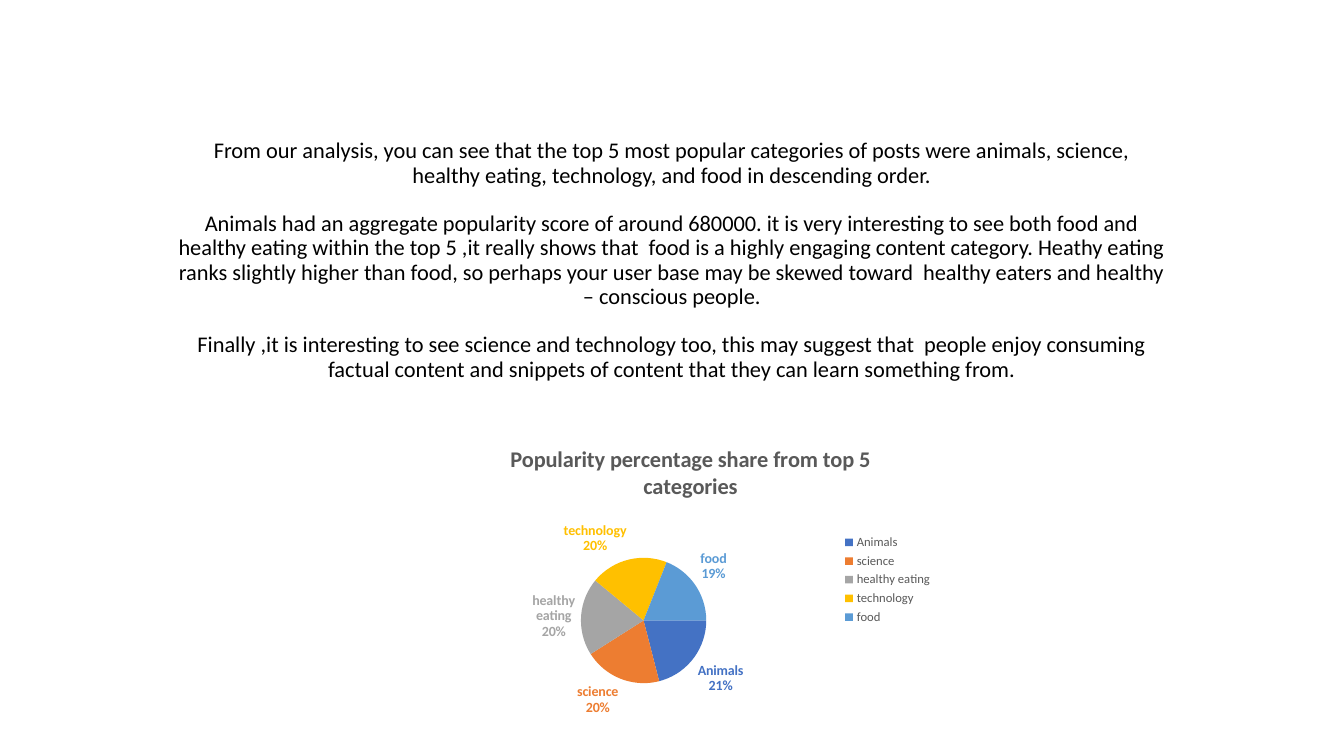
from lxml import etree
from pptx import Presentation
from pptx import util as u
from pptx.chart.data import CategoryChartData
from pptx.dml.color import RGBColor
from pptx.enum import chart as c
from pptx.enum import text as t
from pptx.oxml.ns import qn

BLACK = RGBColor(0x00, 0x00, 0x00)
GREY = RGBColor(0x59, 0x59, 0x59)
CATEGORIES = [
    ("Animals", 21, RGBColor(0x44, 0x72, 0xC4)),
    ("science", 20, RGBColor(0xED, 0x7D, 0x31)),
    ("healthy eating", 20, RGBColor(0xA5, 0xA5, 0xA5)),
    ("technology", 20, RGBColor(0xFF, 0xC0, 0x00)),
    ("food", 19, RGBColor(0x5B, 0x9B, 0xD5)),
]
FINDINGS = [
    "From our analysis, you can see that the top 5 most popular categories of posts were "
    "animals, science, healthy eating, technology, and food in descending order.",
    "Animals had an aggregate popularity score of around 680000. it is very interesting to see "
    "both food and healthy eating within the top 5 ,it really shows that  food is a highly "
    "engaging content category. Heathy eating ranks slightly higher than food, so perhaps your "
    "user base may be skewed toward  healthy eaters and healthy – conscious people.",
    "Finally ,it is interesting to see science and technology too, this may suggest that  people "
    "enjoy consuming factual content and snippets of content that they can learn something from.",
]


def set_font(font, size, color, bold=False):
    font.name = "Calibri"
    font.size = u.Pt(size)
    font.color.rgb = color
    font.bold = bold


presentation = Presentation()
presentation.slide_width, presentation.slide_height = u.Cm(33.87), u.Cm(19.05)
slide = presentation.slides.add_slide(presentation.slide_layouts[5])

# Findings
title = slide.shapes.title
title.left, title.top, title.width, title.height = u.Cm(4.23), u.Cm(3.12), u.Cm(25.4), u.Cm(6.63)
frame = title.text_frame
frame.word_wrap = True
frame.auto_size = t.MSO_AUTO_SIZE.NONE
frame.vertical_anchor = t.MSO_ANCHOR.BOTTOM
frame.text = "\n".join(FINDINGS)
for index, paragraph in enumerate(frame.paragraphs):
    paragraph.alignment = t.PP_ALIGN.CENTER
    paragraph.line_spacing = 0.9
    paragraph.space_before = u.Pt(17.5 if index else 0)
    set_font(paragraph.font, 16, BLACK)

# Popularity pie
data = CategoryChartData()
data.categories = [name for name, share, color in CATEGORIES]
data.add_series("Series 1", [share for name, share, color in CATEGORIES])
chart = slide.shapes.add_chart(
    c.XL_CHART_TYPE.PIE, u.Cm(11.05), u.Cm(10.8), u.Cm(12.7), u.Cm(7.62), data).chart
chart.font.name = "Arial"
chart.font.size = u.Pt(10)
chart.has_title = True
chart.chart_title.include_in_layout = False
chart.chart_title.text_frame.text = "Popularity percentage share from top 5 categories"
set_font(chart.chart_title.text_frame.paragraphs[0].font, 16, GREY, bold=True)
chart.has_legend = True
chart.legend.position = c.XL_LEGEND_POSITION.RIGHT
chart.legend.include_in_layout = False
set_font(chart.legend.font, 9, GREY)

# The first slice starts at three o'clock
plot = chart.plots[0]
plot.vary_by_categories = True
pie = chart.element.find(".//" + qn("c:pieChart"))
angle = pie.find(qn("c:firstSliceAng"))
if angle is None:
    angle = etree.SubElement(pie, qn("c:firstSliceAng"))
angle.set("val", "90")

# Slices and labels in matching colours
series = plot.series[0]
labels = series.data_labels
labels.show_value = False
labels.show_category_name = labels.show_percentage = True
labels.position = c.XL_LABEL_POSITION.OUTSIDE_END
set_font(labels.font, 10, CATEGORIES[0][2], bold=True)
for index, (name, share, color) in enumerate(CATEGORIES):
    point = series.points[index]
    point.format.fill.solid()
    point.format.fill.fore_color.rgb = color
    set_font(point.data_label.font, 10, color, bold=True)
    point.data_label.position = c.XL_LABEL_POSITION.OUTSIDE_END
for label in chart.element.iter(qn("c:dLbl")):
    for tag, shown in (("c:showVal", "0"), ("c:showCatName", "1"), ("c:showPercent", "1")):
        label.find(qn(tag)).set("val", shown)
    etree.SubElement(label, qn("c:separator")).text = "\n"

presentation.save("out.pptx")
